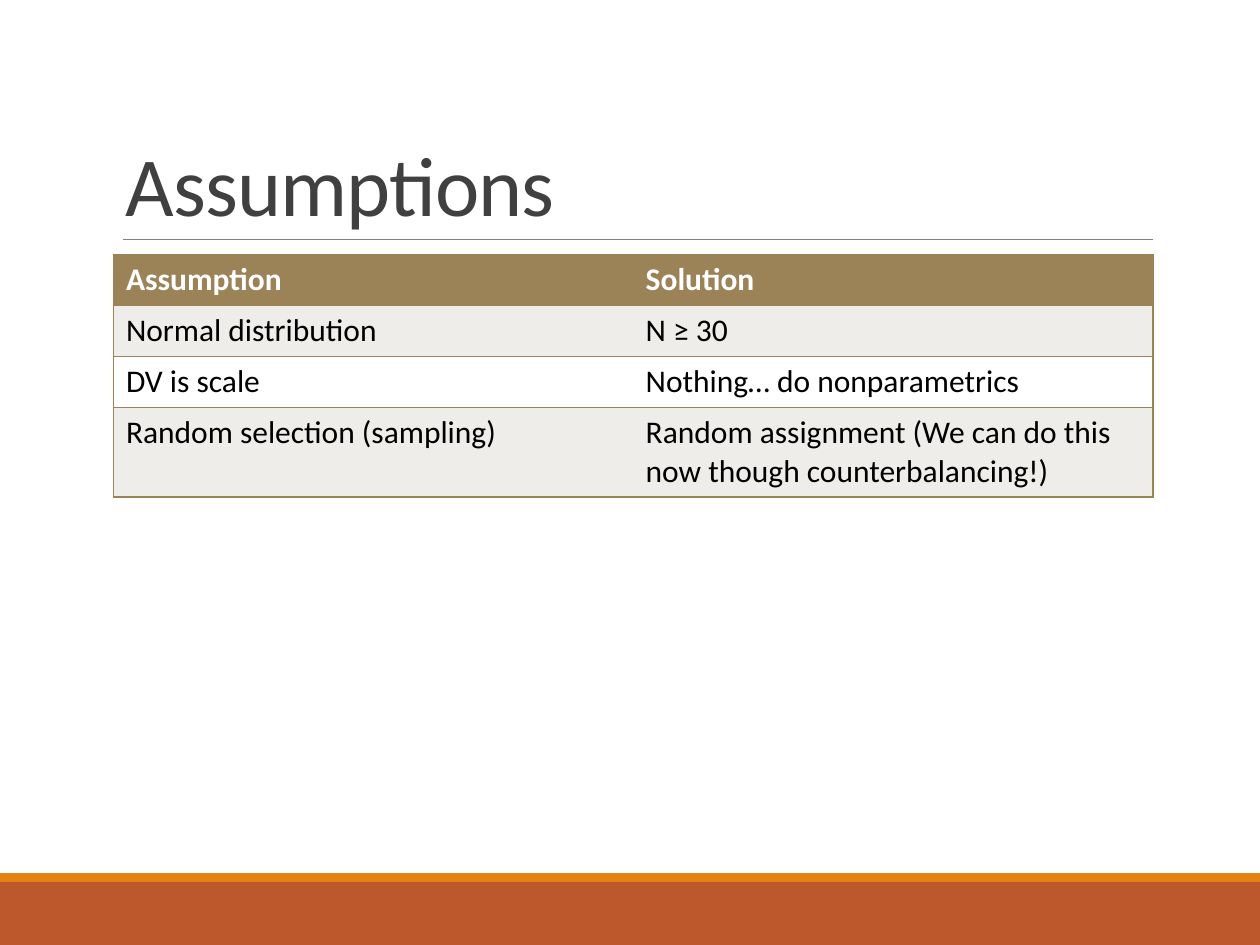
import lxml.etree
import pptx
import pptx.dml.color
import pptx.enum.shapes
import pptx.enum.text
import pptx.oxml.ns
import pptx.util

Pt = pptx.util.Pt
qn = pptx.oxml.ns.qn
FONT = "Calibri"
TAN = "9B8357"
ROWS = [
    ("Assumption", "Solution"),
    ("Normal distribution", "N ≥ 30"),
    ("DV is scale", "Nothing… do nonparametrics"),
    ("Random selection (sampling)",
     "Random assignment (We can do this now though counterbalancing!)"),
]
ROW_HEIGHTS = [29.2, 29.2, 29.2, 51.2]


def color(value):
    """Return the colour for a hex string."""
    return pptx.dml.color.RGBColor.from_string(value)


def style_span(span, size, value, bold=False):
    """Set the font of one run."""
    span.font.name = FONT
    span.font.size = Pt(size)
    span.font.bold = bold
    span.font.color.rgb = color(value)


def add_band(page, top, height, value):
    """Add a full-width band without outline."""
    band = page.shapes.add_shape(
        pptx.enum.shapes.MSO_SHAPE.RECTANGLE, 0, Pt(top), Pt(720), Pt(height))
    band.shadow.inherit = False
    band.fill.solid()
    band.fill.fore_color.rgb = color(value)
    band.line.fill.background()


def add_rule(page, left, right, top, value):
    """Add a thin horizontal rule."""
    rule = page.shapes.add_connector(
        pptx.enum.shapes.MSO_CONNECTOR.STRAIGHT, Pt(left), Pt(top), Pt(right), Pt(top))
    rule.line.width = Pt(0.5)
    rule.line.color.rgb = color(value)
    properties = rule._element.find(qn("p:spPr"))
    lxml.etree.SubElement(properties, qn("a:effectLst"))


def add_title(page, text):
    """Add the bottom-anchored title."""
    box = page.shapes.add_textbox(Pt(64.8), Pt(22.3), Pt(594), Pt(114.5))
    frame = box.text_frame
    frame.text = text
    frame.word_wrap = True
    frame.vertical_anchor = pptx.enum.text.MSO_ANCHOR.BOTTOM
    para = frame.paragraphs[0]
    para.line_spacing = 0.85
    span = para.runs[0]
    style_span(span, 48, "404040")
    span._r.get_or_add_rPr().set("spc", "-50")


def set_borders(cell, visible):
    """Draw the named cell sides and hide the others."""
    properties = cell._tc.get_or_add_tcPr()
    for position, side in enumerate("LRTB"):
        line = lxml.etree.Element(qn(f"a:ln{side}"), w=str(Pt(1)))
        if side in visible:
            fill = lxml.etree.SubElement(line, qn("a:solidFill"))
            lxml.etree.SubElement(fill, qn("a:srgbClr"), val=TAN)
        else:
            lxml.etree.SubElement(line, qn("a:noFill"))
        properties.insert(position, line)


def style_cell(cell, text, row, column):
    """Fill one cell with its text, banding and borders."""
    header = row == 0
    cell.text_frame.text = text
    span = cell.text_frame.paragraphs[0].runs[0]
    style_span(span, 18, "FFFFFF" if header else "000000", header)
    cell.margin_left = cell.margin_right = Pt(7.2)
    cell.margin_top = cell.margin_bottom = Pt(3.6)
    cell.fill.solid()
    band = "EFEDEA" if row % 2 else "FFFFFF"
    cell.fill.fore_color.rgb = color(TAN if header else band)
    set_borders(cell, "TBL" if column == 0 else "TBR")


def add_assumption_table(page):
    """Add the table of assumptions and solutions."""
    table = page.shapes.add_table(
        len(ROWS), 2, Pt(64.8), Pt(145.3), Pt(594), Pt(sum(ROW_HEIGHTS))).table
    for row, (texts, height) in enumerate(zip(ROWS, ROW_HEIGHTS)):
        table.rows[row].height = Pt(height)
        for column, text in enumerate(texts):
            style_cell(table.cell(row, column), text, row, column)


def main():
    """Build and save the slide."""
    deck = pptx.Presentation()
    deck.slide_width, deck.slide_height = Pt(720), Pt(540)
    page = deck.slides.add_slide(deck.slide_layouts[6])
    add_band(page, 504, 36, "BD582C")
    add_band(page, 499, 5, "E48312")
    add_rule(page, 70.5, 659, 136.8, "808080")
    add_title(page, "Assumptions")
    add_assumption_table(page)
    deck.save("out.pptx")


if __name__ == "__main__":
    main()
